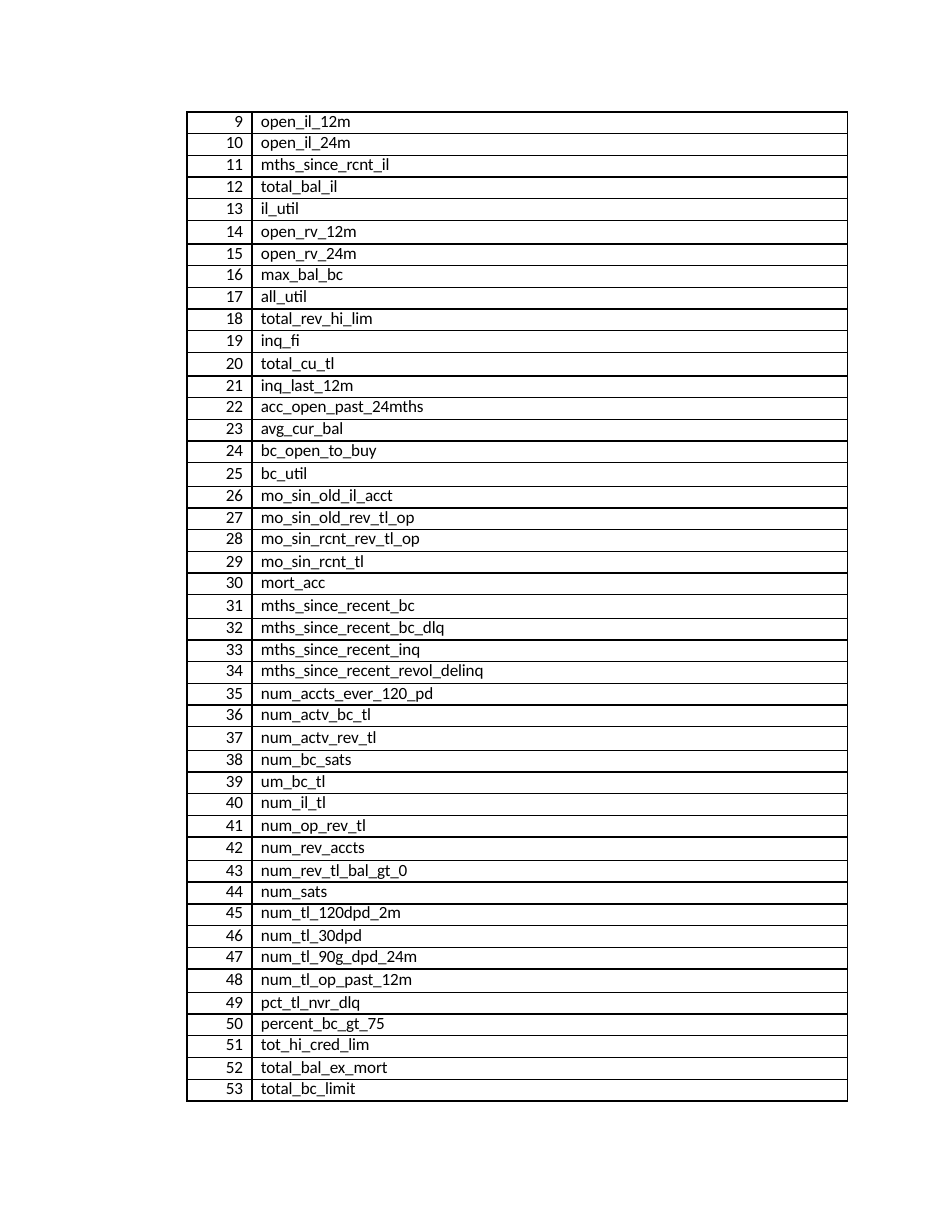
"""Build a page with a numbered table of credit data fields."""
from lxml import etree
from pptx import Presentation
from pptx.dml.color import RGBColor
from pptx.enum.text import PP_ALIGN
from pptx.oxml import parse_xml
from pptx.oxml.ns import nsdecls
from pptx.util import Inches, Pt

LEFT, RIGHT = PP_ALIGN.LEFT, PP_ALIGN.RIGHT
BLACK = "000000"
FIRST_NUMBER = 9
TALL_NUMBERS = (14, 20, 25, 31, 37, 42, 48)
TABLE_HEIGHT, TALL_HEIGHT = 8.84, 0.21
FIELDS = """
open_il_12m open_il_24m mths_since_rcnt_il total_bal_il il_util open_rv_12m
open_rv_24m max_bal_bc all_util total_rev_hi_lim inq_fi total_cu_tl
inq_last_12m acc_open_past_24mths avg_cur_bal bc_open_to_buy bc_util
mo_sin_old_il_acct mo_sin_old_rev_tl_op mo_sin_rcnt_rev_tl_op mo_sin_rcnt_tl
mort_acc mths_since_recent_bc mths_since_recent_bc_dlq mths_since_recent_inq
mths_since_recent_revol_delinq num_accts_ever_120_pd num_actv_bc_tl
num_actv_rev_tl num_bc_sats um_bc_tl num_il_tl num_op_rev_tl num_rev_accts
num_rev_tl_bal_gt_0 num_sats num_tl_120dpd_2m num_tl_30dpd num_tl_90g_dpd_24m
num_tl_op_past_12m pct_tl_nvr_dlq percent_bc_gt_75 tot_hi_cred_lim
total_bal_ex_mort total_bc_limit
""".split()


def rgb(value):
    return RGBColor.from_string(value)


class Page:
    font, size, color = "Calibri", 11, BLACK
    border_width, indent = 1, 0.08

    def __init__(self, slide):
        self.slide = slide

    def borders(self, cell):
        tc_pr = cell._tc.get_or_add_tcPr()
        for side in ("lnL", "lnR", "lnT", "lnB"):
            ln = parse_xml(f"<a:{side} {nsdecls('a')}/>")
            ln.set("w", str(Pt(self.border_width)))
            fill = etree.SubElement(ln, ln.tag.replace(side, "solidFill"))
            etree.SubElement(fill, ln.tag.replace(side, "srgbClr"), val=self.color)
            tc_pr.append(ln)

    def cell(self, cell, text, align, line, before, tracking):
        self.borders(cell)
        cell.fill.background()
        cell.margin_left = cell.margin_right = cell.margin_bottom = 0
        cell.margin_top = Inches(0.01 if before >= 0.4 else 0)
        p = cell.text_frame.paragraphs[0]
        p.text = text
        p.alignment = align
        p.line_spacing, p.space_before = Pt(line), Pt(before)
        p._p.get_or_add_pPr().set("marR" if align == RIGHT else "marL", str(Inches(self.indent)))
        r = p.runs[0]
        r.font.name, r.font.size = self.font, Pt(self.size)
        r.font.color.rgb = rgb(self.color)
        r._r.get_or_add_rPr().set("spc", str(tracking))

    def field_table(self, x, y, widths, fields):
        frame = self.slide.shapes.add_table(
            len(fields), len(widths), Inches(x), Inches(y), Inches(sum(widths)), Inches(TABLE_HEIGHT))
        table = frame.table
        table.first_row = table.horz_banding = False
        for column, width in zip(table.columns, widths):
            column.width = Inches(width)
        tall_count = len(TALL_NUMBERS)
        short_height = (TABLE_HEIGHT - tall_count * TALL_HEIGHT) / (len(fields) - tall_count)
        step = 0
        for i, field in enumerate(fields):
            number = FIRST_NUMBER + i
            tall = number in TALL_NUMBERS
            table.rows[i].height = Inches(TALL_HEIGHT if tall else short_height)
            before = 0.8 if tall else round(0.17 * step, 1)
            line = 13.2 if tall else 13 - before
            self.cell(table.cell(i, 0), str(number), RIGHT, line, before, -20)
            self.cell(table.cell(i, 1), field, LEFT, line, before, -10)
            step = 0 if tall else step + 1


def main():
    prs = Presentation()
    prs.slide_width, prs.slide_height = Inches(8.5), Inches(11)
    page = Page(prs.slides.add_slide(prs.slide_layouts[6]))
    page.field_table(1.67, 1, (0.58, 5.32), FIELDS)
    prs.save("out.pptx")


if __name__ == "__main__":
    main()
